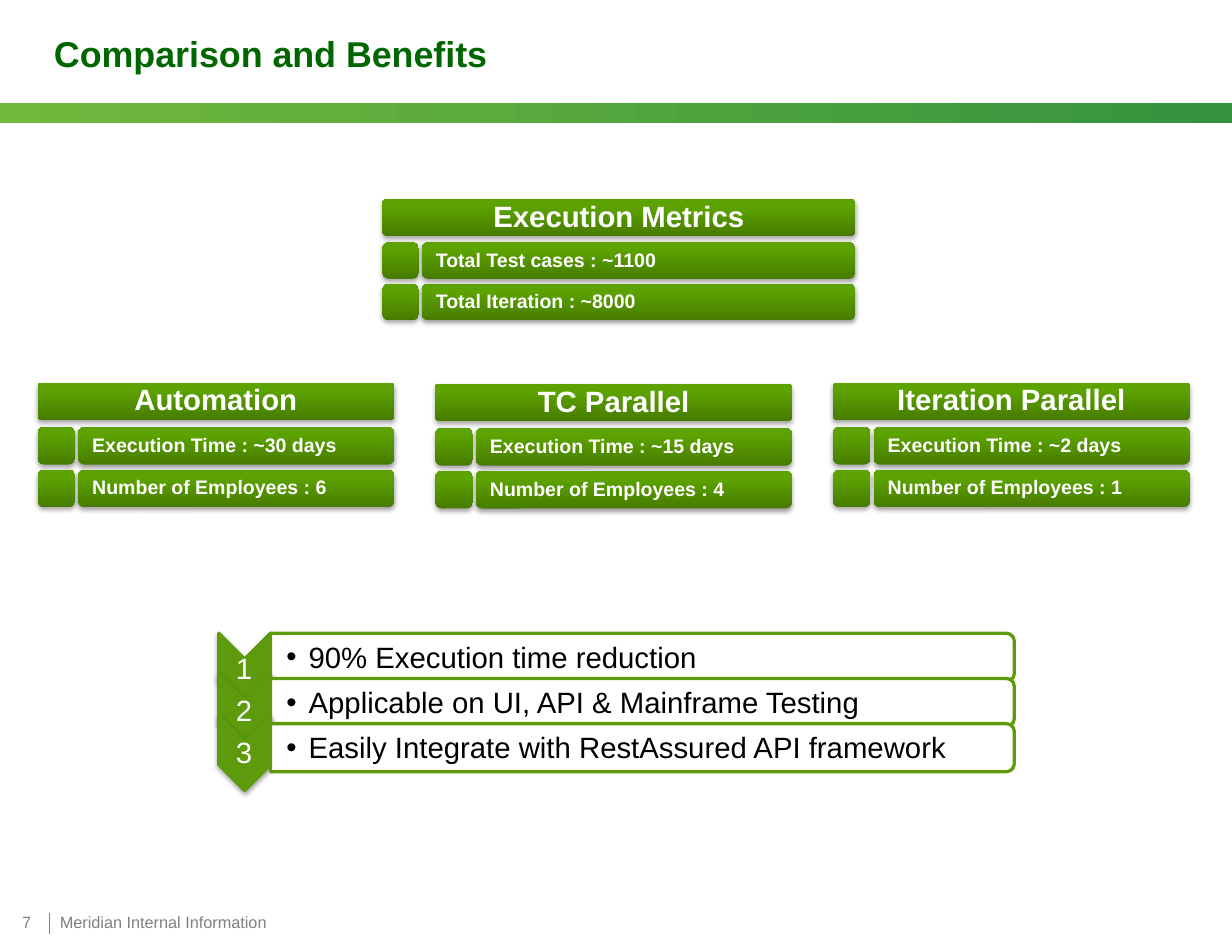
from lxml import etree
from pptx import Presentation, util as u
from pptx.dml.color import RGBColor
from pptx.enum import shapes as s, text as t
from pptx.oxml import ns

WHITE = RGBColor(0xFF, 0xFF, 0xFF)
BLACK = RGBColor(0x00, 0x00, 0x00)
GRAY = RGBColor(0x80, 0x80, 0x80)
TITLE_GREEN = RGBColor(0x00, 0x66, 0x00)
ACCENT = RGBColor(0x5D, 0x9A, 0x0C)
CARD_DARK = RGBColor(0x47, 0x7C, 0x00)
CARD_LIGHT = RGBColor(0x5C, 0xA2, 0x00)
BAND_LEFT = RGBColor(0x72, 0xB9, 0x3D)
BAND_RIGHT = RGBColor(0x35, 0x93, 0x3E)

prs = Presentation()
prs.slide_width, prs.slide_height = u.Inches(10.5), u.Inches(8)
COL, ROW = prs.slide_width / 105, prs.slide_height / 80
slide = prs.slides.add_slide(prs.slide_layouts[1])


def cells(left, top, width, height):
    """Turn grid columns and rows into a position and size."""
    return [round(n * unit) for n, unit in zip((left, top, width, height), (COL, ROW) * 2)]


def write(frame, *lines, size, color, bold=False, align=t.PP_ALIGN.LEFT,
          anchor=t.MSO_ANCHOR.MIDDLE, inset=(0, 0), spacing=0.9):
    frame.word_wrap = True
    frame.auto_size = t.MSO_AUTO_SIZE.NONE
    frame.vertical_anchor = anchor
    frame.margin_left = frame.margin_right = round(inset[0] * COL)
    frame.margin_top = frame.margin_bottom = round(inset[1] * ROW)
    frame.text = "\n".join(lines)
    for line in frame.paragraphs:
        line.alignment, line.line_spacing = align, spacing
        line.space_before = line.space_after = u.Pt(0)
        font = line.font
        font.name, font.size, font.bold = "Arial", u.Pt(size), bold
        font.color.rgb = color


def block(kind, area, fill, line=None, shadow=None, turn=0):
    """Draw a preset shape; fill is one colour or (start, end, end position, angle)."""
    part = slide.shapes.add_shape(kind, *cells(*area))
    part.rotation = turn
    if isinstance(fill, RGBColor):
        part.fill.solid()
        part.fill.fore_color.rgb = fill
    else:
        part.fill.gradient()
        part.fill.gradient_angle = fill[3]
        first, last = part.fill.gradient_stops
        first.color.rgb, last.color.rgb, last.position = fill[:3]
    if line is None:
        part.line.fill.background()
    else:
        part.line.color.rgb, part.line.width = line, u.Pt(2)
    part.shadow.inherit = False
    if shadow:
        effects = part._element.spPr.find(ns.qn("a:effectLst"))
        outer = etree.SubElement(effects, ns.qn("a:outerShdw"), blurRad=str(u.Pt(3.1)),
                                 dist=str(u.Pt(1.6)), dir="5400000", rotWithShape="0")
        tint = etree.SubElement(outer, ns.qn("a:srgbClr"), val="000000")
        etree.SubElement(tint, ns.qn("a:alpha"), val=str(shadow * 1000))
    return part


# Header and footer
block(s.MSO_SHAPE.RECTANGLE, (0, 8.8, 105, 1.7), (BAND_LEFT, BAND_RIGHT, 1, 0))
title, benefits = slide.placeholders
title.left, title.top, title.width, title.height = cells(3.5, 0, 98.6, 9.1)
write(title.text_frame, "Comparison and Benefits", size=22, color=TITLE_GREEN,
      bold=True, inset=(1.1, 0.5), spacing=1)

divider = slide.shapes.add_connector(s.MSO_CONNECTOR.STRAIGHT, round(4.2 * COL), round(79.6 * ROW),
                                     round(4.2 * COL), round(77.8 * ROW))
divider.line.color.rgb, divider.line.width = GRAY, u.Pt(0.5)
etree.SubElement(divider._element.spPr, ns.qn("a:effectLst"))
for footer, area in (("7", (0.8, 77.4, 3.7, 2.5)),
                     ("Meridian Internal Information", (4, 77.5, 63.9, 2.4))):
    write(slide.shapes.add_textbox(*cells(*area)).text_frame, footer, size=10, color=GRAY,
          anchor=t.MSO_ANCHOR.BOTTOM, inset=(1.1, 0.5), spacing=1)

# Metric cards: a heading over rows made of a square and a bar
CARDS = [
    (32.6, 17, 40.3, 3.1, "Execution Metrics",
     ("Total Test cases : ~1100", "Total Iteration : ~8000")),
    (3.2, 32.6, 30.4, 3.2, "Automation",
     ("Execution Time : ~30 days", "Number of Employees : 6")),
    (37.1, 32.7, 30.4, 3.2, "TC Parallel",
     ("Execution Time : ~15 days", "Number of Employees : 4")),
    (71, 32.6, 30.4, 3.2, "Iteration Parallel",
     ("Execution Time : ~2 days", "Number of Employees : 1")),
]
CARD_FILL = (CARD_DARK, CARD_LIGHT, 0.8, 90)
for left, top, width, height, heading, facts in CARDS:
    header = block(s.MSO_SHAPE.ROUNDED_RECTANGLE, (left, top, width, height), CARD_FILL, shadow=35)
    header.adjustments[0] = 0.1
    write(header.text_frame, heading, size=18, color=WHITE, bold=True,
          align=t.PP_ALIGN.CENTER, inset=(0.4, 0.3))
    bar_offset = 1.08 * height
    for number, fact in enumerate(facts):
        row_top = top + (1.18 + 1.14 * number) * height
        block(s.MSO_SHAPE.ROUNDED_RECTANGLE, (left, row_top, height, height), CARD_FILL, shadow=35)
        bar = block(s.MSO_SHAPE.ROUNDED_RECTANGLE,
                    (left + bar_offset, row_top, width - bar_offset, height), CARD_FILL, shadow=38)
        write(bar.text_frame, fact, size=12, color=WHITE, bold=True, inset=(1.05, 0.3))

# Numbered benefits
BENEFITS = ["90% Execution time reduction", "Applicable on UI, API & Mainframe Testing",
            "Easily Integrate with RestAssured API framework"]
PITCH = 3.85
for number in range(len(BENEFITS)):
    step_top = 54.9 + 3.55 * number
    block(s.MSO_SHAPE.CHEVRON, (17.7, step_top, 6.3, 4.4), ACCENT, ACCENT, shadow=38, turn=90)
    step = slide.shapes.add_textbox(*cells(18.6, step_top + 1.25, 4.4, 1.9))
    write(step.text_frame, str(number + 1), size=18, color=WHITE, align=t.PP_ALIGN.CENTER)
    block(s.MSO_SHAPE.ROUND_2_SAME_RECTANGLE, (52.7, 24.3 + PITCH * number, 4.1, 63.4),
          WHITE, ACCENT, turn=90)

benefits.left, benefits.top, benefits.width, benefits.height = cells(
    23, 53.6, 63.2, PITCH * len(BENEFITS))
write(benefits.text_frame, *BENEFITS, size=18, color=BLACK, anchor=t.MSO_ANCHOR.TOP,
      inset=(1.4, 0), spacing=u.Pt(27.72))
for item in benefits.text_frame.paragraphs:
    properties = item._p.get_or_add_pPr()
    properties.set("marL", str(u.Inches(0.19)))
    properties.set("indent", str(-u.Inches(0.19)))
slide.shapes._spTree.append(benefits._element)

prs.save("out.pptx")
